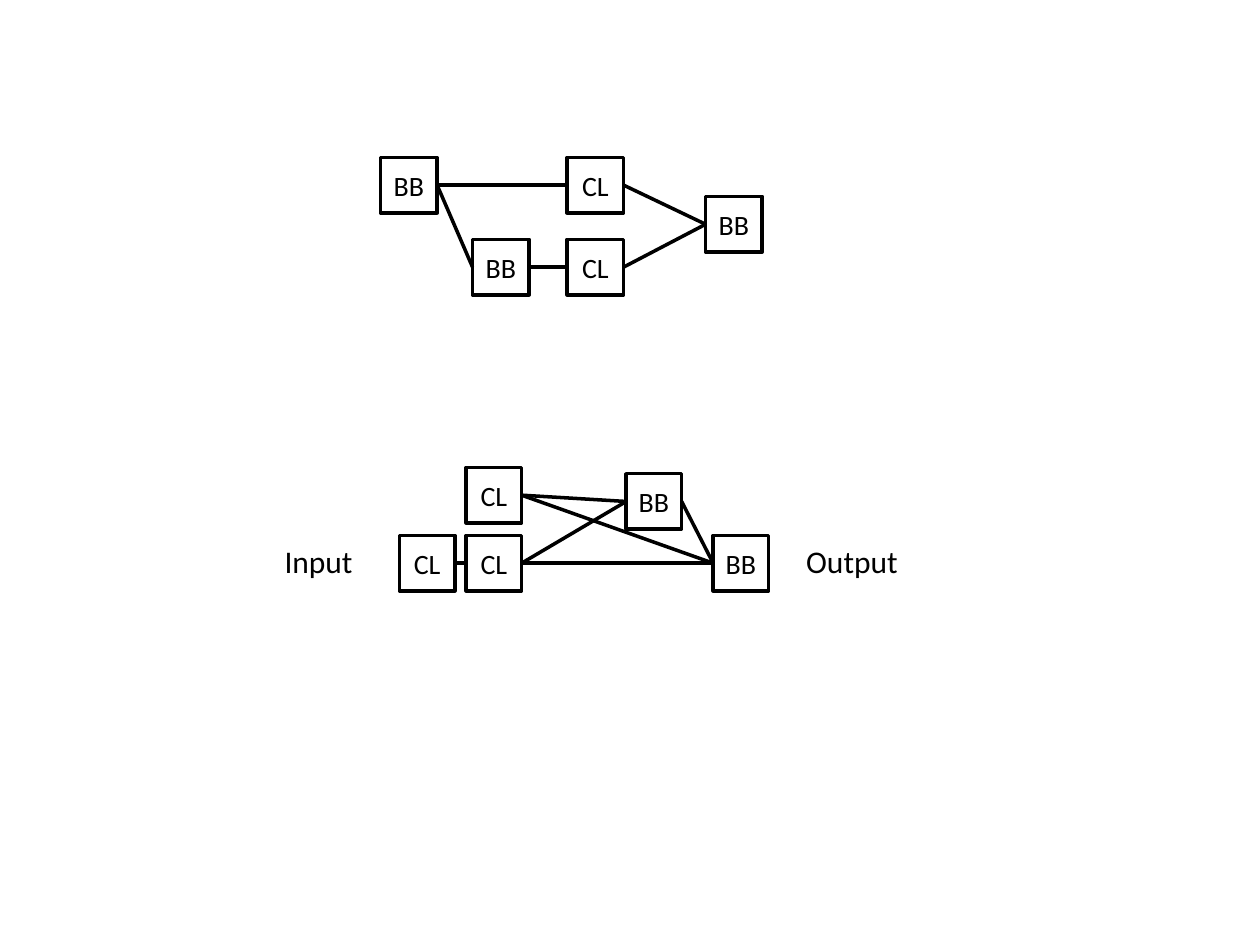
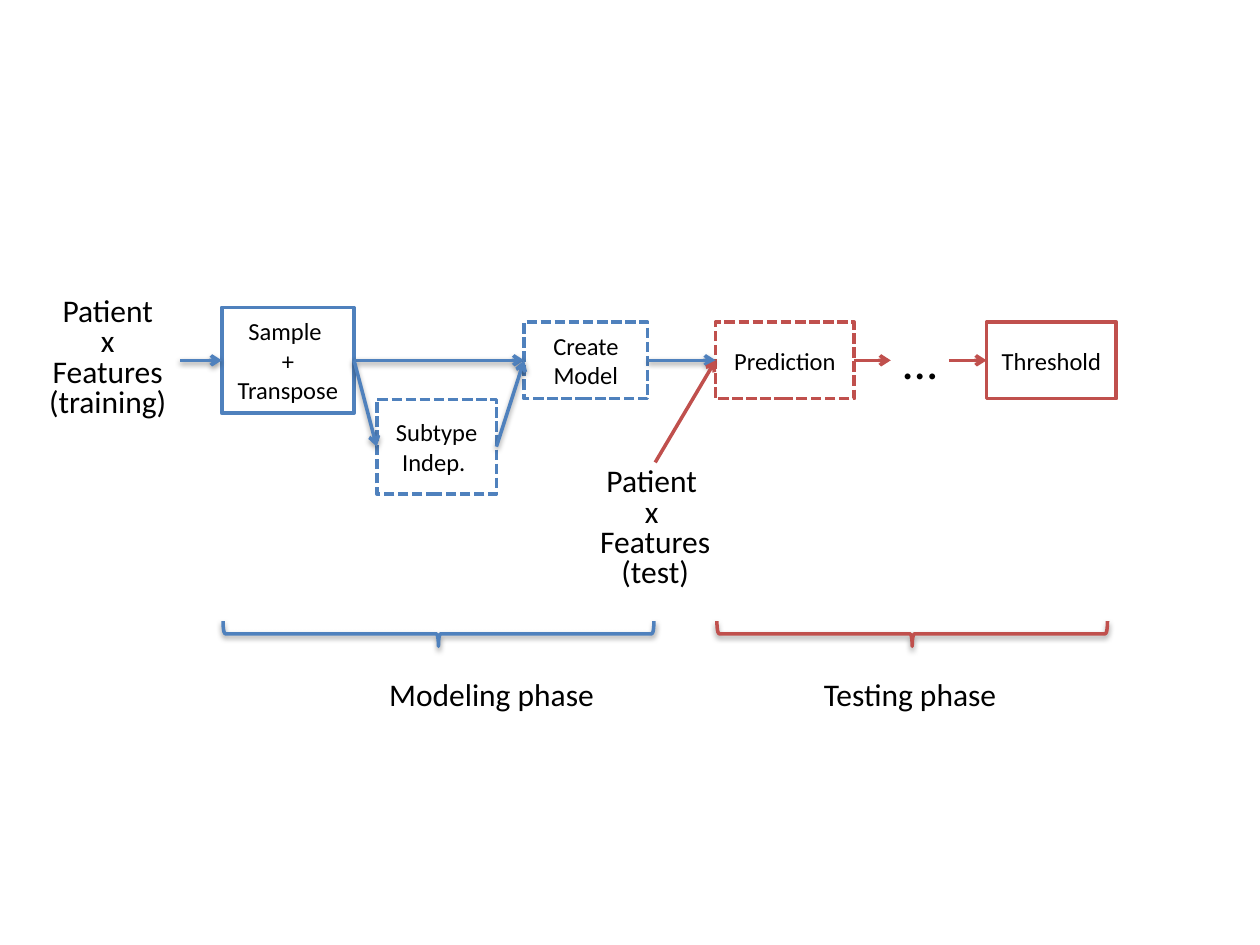
from dataclasses import dataclass

from lxml.etree import SubElement
from pptx import Presentation
from pptx.dml.color import RGBColor
from pptx.enum.dml import MSO_LINE
from pptx.enum.shapes import MSO_CONNECTOR, MSO_SHAPE
from pptx.enum.text import MSO_ANCHOR, MSO_AUTO_SIZE, PP_ALIGN
from pptx.oxml.ns import qn
from pptx.util import Inches, Pt

RECTANGLE, BRACE = MSO_SHAPE.RECTANGLE, MSO_SHAPE.LEFT_BRACE
STRAIGHT, DASHED = MSO_CONNECTOR.STRAIGHT, MSO_LINE.SQUARE_DOT
CENTER, LEFT, MIDDLE, TOP = PP_ALIGN.CENTER, PP_ALIGN.LEFT, MSO_ANCHOR.MIDDLE, MSO_ANCHOR.TOP
FIT_TEXT = MSO_AUTO_SIZE.SHAPE_TO_FIT_TEXT

FONT = "Calibri"
BLACK, WHITE, BLUE, RED = "000000", "FFFFFF", "4F81BD", "C0504D"
LINE_WIDTH = Pt(2)
TOP_SIDE, LEFT_SIDE, RIGHT_SIDE = 0, 1, 3
AXIS = 2.86  # height of the main flow on the pipeline slide


@dataclass
class Node:
    key: str
    lines: list[str]
    left: float
    top: float
    width: float
    height: float
    color: str = BLACK
    dashed: bool = False
    size: int = 14
    inset: float = 0.1


@dataclass
class Label:
    key: str
    lines: list[str]
    left: float
    top: float
    width: float
    height: float = 0.4
    size: int = 18
    align: PP_ALIGN = LEFT
    anchor: MSO_ANCHOR = TOP
    spacing: float = 1.0
    wrap: bool = False
    grow: bool = True


@dataclass
class Link:
    start: str
    end: str
    color: str = BLACK
    arrow: bool = False
    shadow: bool = False
    start_side: int = RIGHT_SIDE


@dataclass
class Phase:
    left: float
    width: float
    color: str


def rgb(color: str) -> RGBColor:
    return RGBColor.from_string(color)


def write_lines(frame, lines: list[str], size: int, align: PP_ALIGN, spacing: float = 1.0) -> None:
    for index, line in enumerate(lines):
        para = frame.paragraphs[0] if index == 0 else frame.add_paragraph()
        para.alignment = align
        para.line_spacing = spacing
        span = para.add_run()
        span.text = line
        span.font.name = FONT
        span.font.size = Pt(size)
        span.font.color.rgb = rgb(BLACK)


def style_line(line, color: str) -> None:
    line.color.rgb = rgb(color)
    line.width = LINE_WIDTH


def cast_shadow(effects) -> None:
    outer = SubElement(effects, qn("a:outerShdw"), blurRad="40000", dist="20000",
                       dir="5400000", rotWithShape="0")
    tint = SubElement(outer, qn("a:srgbClr"), val=BLACK)
    SubElement(tint, qn("a:alpha"), val="38000")


def draw_node(page, node: Node):
    box = page.shapes.add_shape(RECTANGLE, Inches(node.left), Inches(node.top),
                                Inches(node.width), Inches(node.height))
    box.shadow.inherit = False
    box.fill.solid()
    box.fill.fore_color.rgb = rgb(WHITE)
    style_line(box.line, node.color)
    if node.dashed:
        box.line.dash_style = DASHED
    frame = box.text_frame
    frame.word_wrap = True
    frame.vertical_anchor = MIDDLE
    frame.margin_left = frame.margin_right = Inches(node.inset)
    write_lines(frame, node.lines, node.size, CENTER)
    return box


def draw_label(page, label: Label):
    box = page.shapes.add_textbox(Inches(label.left), Inches(label.top),
                                  Inches(label.width), Inches(label.height))
    frame = box.text_frame
    frame.word_wrap = label.wrap
    frame.vertical_anchor = label.anchor
    if label.grow:
        frame.auto_size = FIT_TEXT
    write_lines(frame, label.lines, label.size, label.align, label.spacing)
    return box


def draw_link(page, boxes: dict, link: Link) -> None:
    line = page.shapes.add_connector(STRAIGHT, 0, 0, 0, 0)
    line.begin_connect(boxes[link.start], link.start_side)
    line.end_connect(boxes[link.end], LEFT_SIDE)
    style_line(line.line, link.color)
    if link.arrow:
        SubElement(line.line._get_or_add_ln(), qn("a:tailEnd"), type="arrow")
    effects = SubElement(line._element.spPr, qn("a:effectLst"))
    if link.shadow:
        cast_shadow(effects)


def draw_phase(page, phase: Phase) -> None:
    """Draw a brace that opens upwards, by turning a left brace."""
    depth, middle = 0.2, 5.03
    brace = page.shapes.add_shape(
        BRACE, Inches(phase.left + (phase.width - depth) / 2),
        Inches(middle - phase.width / 2), Inches(depth), Inches(phase.width))
    brace.rotation = 270
    brace.fill.background()
    style_line(brace.line, phase.color)
    brace.shadow.inherit = False
    cast_shadow(brace._element.spPr.find(qn("a:effectLst")))


def draw_flow(page, nodes: list[Node], labels: list[Label], links: list[Link]) -> None:
    boxes = {node.key: draw_node(page, node) for node in nodes}
    boxes |= {label.key: draw_label(page, label) for label in labels}
    for link in links:
        draw_link(page, boxes, link)


def block(key: str, left: float, top: float, width: float) -> Node:
    """A small block whose key begins with its two-letter name."""
    return Node(key, [key[:2]], left, top, width, 0.44, size=16, inset=0)


def build_networks(page) -> None:
    # Upper network
    upper = [block(key, left, top, 0.45) for key, left, top in (
        ("BB first", 3.02, 1.25), ("BB lower", 3.75, 1.9), ("CL upper", 4.5, 1.25),
        ("CL lower", 4.5, 1.9), ("BB last", 5.6, 1.56))]
    upper_links = [("BB first", "BB lower"), ("BB first", "CL upper"),
                   ("BB lower", "CL lower"), ("CL lower", "BB last"),
                   ("CL upper", "BB last")]
    draw_flow(page, upper, [], [Link(*ends) for ends in upper_links])

    # Lower network, from input to output
    lower = [block(key, left, top, 0.44) for key, left, top in (
        ("CL first", 3.17, 4.25), ("CL second", 3.7, 4.25), ("BB upper", 4.97, 3.76),
        ("BB last", 5.66, 4.25), ("CL upper", 3.7, 3.71))]
    labels = [Label("input", ["Input"], 2.16, 4.25, 0.75),
              Label("output", ["Output"], 6.3, 4.25, 0.94)]
    lower_links = [("CL first", "CL second"), ("CL second", "BB upper"),
                   ("BB upper", "BB last"), ("CL upper", "BB upper"),
                   ("CL second", "BB last"), ("CL upper", "BB last")]
    draw_flow(page, lower, labels, [Link(*ends) for ends in lower_links])


def build_pipeline(page) -> None:
    def on_axis(height: float) -> float:
        return AXIS - height / 2

    step = 0.61
    nodes = [
        Node("sample", ["Sample ", "+ Transpose"], 1.76, on_axis(0.84), 1.05, 0.84, BLUE),
        Node("model", ["Create Model"], 4.16, on_axis(step), 0.98, step, BLUE, True),
        Node("prediction", ["Prediction"], 5.68, on_axis(step), 1.1, step, RED, True),
        Node("threshold", ["Threshold"], 7.83, on_axis(step), 1.03, step, RED),
        Node("subtype", ["Subtype Indep. "], 2.99, 3.17, 0.95, 0.75, BLUE, True),
    ]
    labels = [
        Label("training", ["Patient", "x", "Features", "(training)"], 0.28, on_axis(1.08),
              1.15, 1.08, align=CENTER, spacing=0.8),
        Label("test", ["Patient ", "x ", "Features", "(test)"], 4.59, 3.67,
              1.22, 1.08, align=CENTER, spacing=0.8, wrap=True),
        Label("more", ["…"], 7.07, on_axis(step), 0.46, step, size=28, align=CENTER,
              anchor=MIDDLE, wrap=True, grow=False),
        Label("modeling phase", ["Modeling phase"], 2.99, 5.31, 1.84),
        Label("testing phase", ["Testing phase"], 6.44, 5.31, 1.61),
    ]
    modeling = [("model", "prediction"), ("sample", "model"), ("training", "sample"),
                ("sample", "subtype"), ("subtype", "model")]
    testing = [("prediction", "more"), ("more", "threshold")]
    links = [Link(*ends, BLUE, arrow=True, shadow=True) for ends in modeling]
    links += [Link(*ends, RED, arrow=True) for ends in testing]
    links.append(Link("test", "prediction", RED, arrow=True, start_side=TOP_SIDE))
    draw_flow(page, nodes, labels, links)

    # Braces under the two phases
    for phase in (Phase(1.77, 3.42, BLUE), Phase(5.69, 3.1, RED)):
        draw_phase(page, phase)


def main() -> None:
    deck = Presentation()
    deck.slide_width, deck.slide_height = Inches(10), Inches(7.5)
    blank = deck.slide_layouts[6]
    for build in (build_networks, build_pipeline):
        build(deck.slides.add_slide(blank))
    deck.save("out.pptx")


if __name__ == "__main__":
    main()
